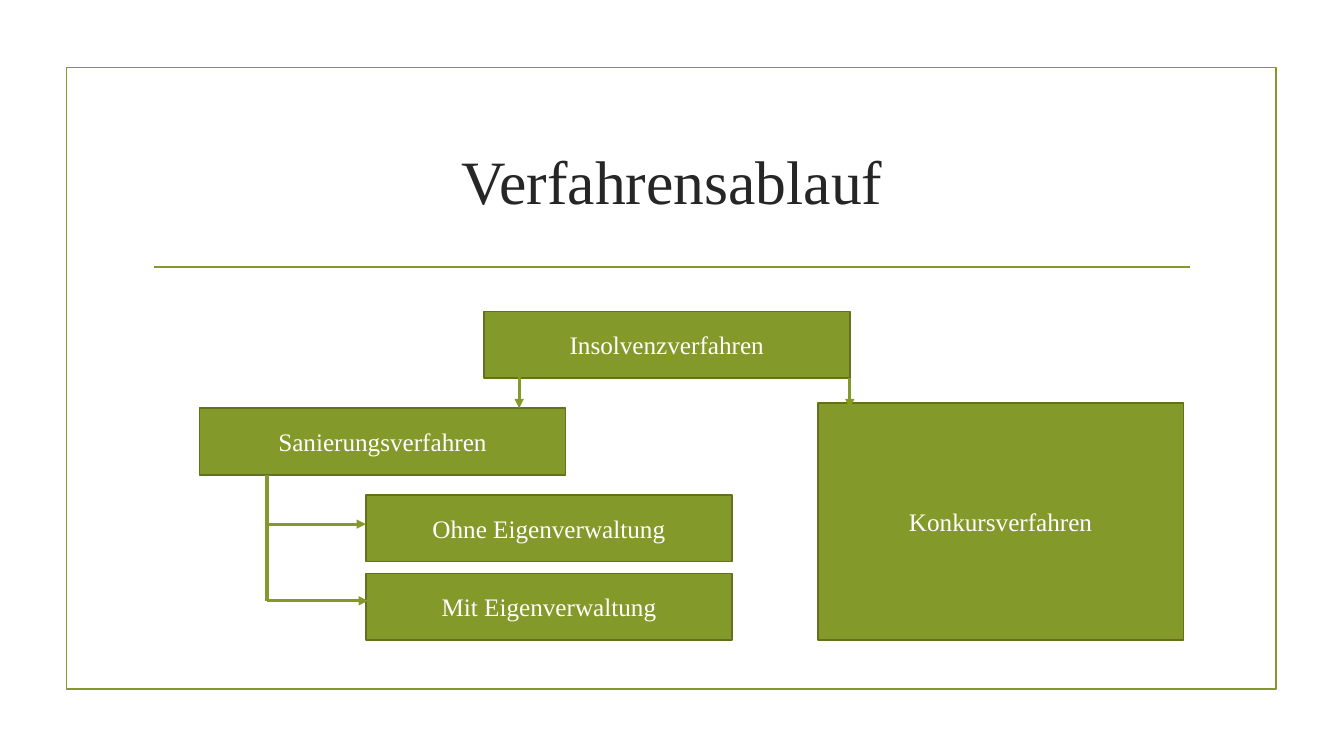
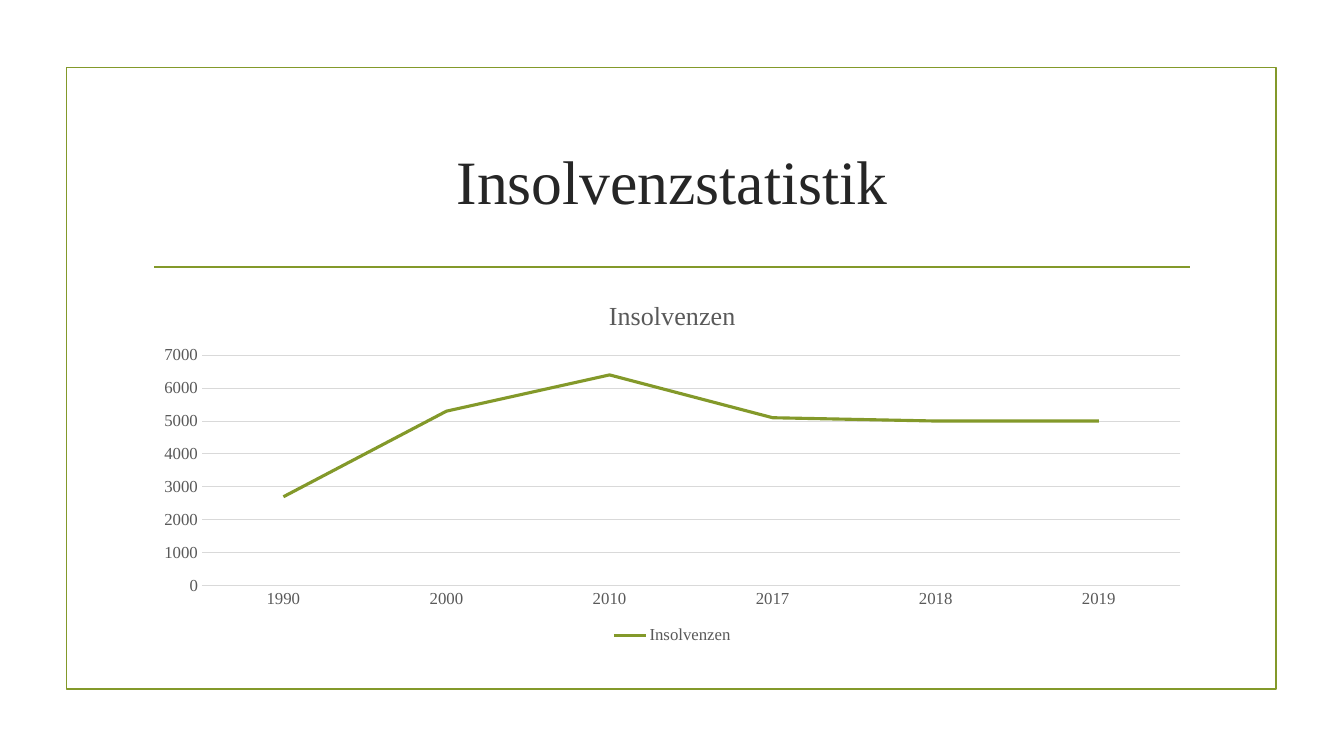
from dataclasses import dataclass

import pptx
import pptx.chart.data
import pptx.dml.color
import pptx.enum.chart
import pptx.enum.shapes
import pptx.enum.text
import pptx.oxml
import pptx.oxml.ns
import pptx.util

WIDTH, HEIGHT = pptx.util.Inches(13.333), pptx.util.Inches(7.5)
FONT = "Times New Roman"
GREEN, DARK_GREEN, WHITE = "83992A", "61711F", "FFFFFF"
INK, GREY, PALE = "262626", "595959", "D9D9D9"

# Lengths are percentages of the slide's width and height.
FRAME = (4.95, 8.93, 90, 82.27)
RULE = (11.47, 35.33, 88.57, 35.33)
TITLE = (10.65, 14.27, 78.75, 19.07)
CHART = (10.65, 37.33, 78.75, 48.4)
BOX_W, BOX_H = 27.23, 8.8
TOP_X, TOP_Y = 36, 41.2
SUB_X, SUB_YS = 27.23, (65.47, 75.87)
LEVEL_Y = 54
TRUNK_X, TRUNK_END = 19.87, 79.47


@dataclass
class Box:
    text: str
    x: float
    y: float
    h: float = BOX_H


@dataclass
class Line:
    x1: float
    y1: float
    x2: float
    y2: float
    arrow: bool = True


BOXES = [
    Box("Insolvenzverfahren", TOP_X, TOP_Y),
    Box("Sanierungsverfahren", 14.85, LEVEL_Y),
    Box("Ohne Eigenverwaltung", SUB_X, SUB_YS[0]),
    Box("Mit Eigenverwaltung", SUB_X, SUB_YS[1]),
    Box("Konkursverfahren", 60.84, 53.33, SUB_YS[1] + BOX_H - 53.33),
]
LINES = [
    Line(38.63, 47.87, 38.63, LEVEL_Y),
    Line(TOP_X + BOX_W, TOP_Y + BOX_H, TOP_X + BOX_W, LEVEL_Y),
    Line(TRUNK_X, LEVEL_Y + BOX_H, TRUNK_X, TRUNK_END, arrow=False),
    Line(19.72, 69.33, SUB_X, 69.33),
    Line(TRUNK_X, TRUNK_END, 27.38, TRUNK_END),
]
CASES = {"1990": 2700, "2000": 5300, "2010": 6400,
         "2017": 5100, "2018": 5000, "2019": 5000}


def rgb(color: str) -> pptx.dml.color.RGBColor:
    return pptx.dml.color.RGBColor.from_string(color)


def lengths(shares: tuple) -> list[int]:
    """Turn alternating x and y percentages into EMU."""
    return [round(s * (HEIGHT if i % 2 else WIDTH) / 100) for i, s in enumerate(shares)]


def set_all(target, values: dict) -> None:
    for name, value in values.items():
        setattr(target, name, value)


def style_font(font, size: float, color: str) -> None:
    set_all(font, {"name": FONT, "size": pptx.util.Pt(size), "bold": False})
    font.color.rgb = rgb(color)


def style_line(line, color: str, width: float) -> None:
    line.color.rgb = rgb(color)
    line.width = pptx.util.Pt(width)


def write(tf, text: str, size: float, color: str) -> None:
    """Put one centred line of text in a frame."""
    set_all(tf, {"word_wrap": True, "vertical_anchor": pptx.enum.text.MSO_ANCHOR.MIDDLE})
    p = tf.paragraphs[0]
    p.alignment = pptx.enum.text.PP_ALIGN.CENTER
    r = p.add_run()
    r.text = text
    style_font(r.font, size, color)


def add_rect(slide, shares: tuple, line_color: str, fill: str | None = None):
    sp = slide.shapes.add_shape(pptx.enum.shapes.MSO_SHAPE.RECTANGLE, *lengths(shares))
    sp.shadow.inherit = False
    if fill:
        sp.fill.solid()
        sp.fill.fore_color.rgb = rgb(fill)
    else:
        sp.fill.background()
    style_line(sp.line, line_color, 1.25)
    return sp


def add_line(slide, line: Line, width: float):
    ends = lengths((line.x1, line.y1, line.x2, line.y2))
    cxn = slide.shapes.add_connector(pptx.enum.shapes.MSO_CONNECTOR.STRAIGHT, *ends)
    style_line(cxn.line, GREEN, width)
    qn = pptx.oxml.ns.qn
    properties = cxn.element.spPr
    if line.arrow:
        tail = pptx.oxml.parse_xml(
            f'<a:tailEnd {pptx.oxml.ns.nsdecls("a")} type="triangle"/>')
        properties.find(qn("a:ln")).append(tail)
    properties.append(pptx.oxml.parse_xml(f'<a:effectLst {pptx.oxml.ns.nsdecls("a")}/>'))
    return cxn


def place(sp, shares: tuple) -> None:
    set_all(sp, dict(zip(("left", "top", "width", "height"), lengths(shares))))


def prepare_layout(layout, slide) -> None:
    """Draw frame and rule on the slide, then move them into its layout."""
    for sp in (add_rect(slide, FRAME, GREEN), add_line(slide, Line(*RULE, arrow=False), 1.25)):
        layout.shapes.element.append(sp.element)
    title = next(ph for ph in layout.placeholders if ph.placeholder_format.idx == 0)
    place(title, TITLE)


def add_slide(prs, layout, title: str):
    slide = prs.slides.add_slide(layout)
    write(slide.shapes.title.text_frame, title, 44, INK)
    return slide


def draw_process(slide) -> None:
    for box in BOXES:
        sp = add_rect(slide, (box.x, box.y, BOX_W, box.h), DARK_GREEN, GREEN)
        write(sp.text_frame, box.text, 18, WHITE)
    for line in LINES:
        add_line(slide, line, 2.25)


def draw_statistics(slide) -> None:
    xl = pptx.enum.chart
    data = pptx.chart.data.CategoryChartData()
    data.categories = list(CASES)
    data.add_series("Insolvenzen", list(CASES.values()))
    chart = slide.shapes.add_chart(xl.XL_CHART_TYPE.LINE, *lengths(CHART), data).chart
    style_font(chart.font, 12, GREY)

    chart.has_title = True
    r = chart.chart_title.text_frame.paragraphs[0].add_run()
    r.text = "Insolvenzen"
    style_font(r.font, 18.6, GREY)

    chart.has_legend = True
    set_all(chart.legend, {"position": xl.XL_LEGEND_POSITION.BOTTOM,
                           "include_in_layout": False})
    style_font(chart.legend.font, 12, GREY)

    for axis in (chart.category_axis, chart.value_axis):
        set_all(axis, {"major_tick_mark": xl.XL_TICK_MARK.NONE,
                       "minor_tick_mark": xl.XL_TICK_MARK.NONE})
        style_font(axis.tick_labels.font, 12, GREY)
    style_line(chart.category_axis.format.line, PALE, 0.75)
    value_axis = chart.value_axis
    set_all(value_axis, {"minimum_scale": 0, "maximum_scale": 7000, "major_unit": 1000,
                         "has_major_gridlines": True})
    value_axis.format.line.fill.background()
    style_line(value_axis.major_gridlines.format.line, PALE, 0.75)

    plot = chart.plots[0]
    plot.vary_by_categories = False
    series = plot.series[0]
    series.smooth = False
    series.marker.style = xl.XL_MARKER_STYLE.NONE
    style_line(series.format.line, GREEN, 2.25)


def main() -> None:
    prs = pptx.Presentation()
    set_all(prs, {"slide_width": WIDTH, "slide_height": HEIGHT})
    layout = prs.slide_layouts.get_by_name("Title Only")
    process = add_slide(prs, layout, "Verfahrensablauf")
    prepare_layout(layout, process)
    draw_process(process)
    draw_statistics(add_slide(prs, layout, "Insolvenzstatistik"))
    prs.save("out.pptx")


if __name__ == "__main__":
    main()
